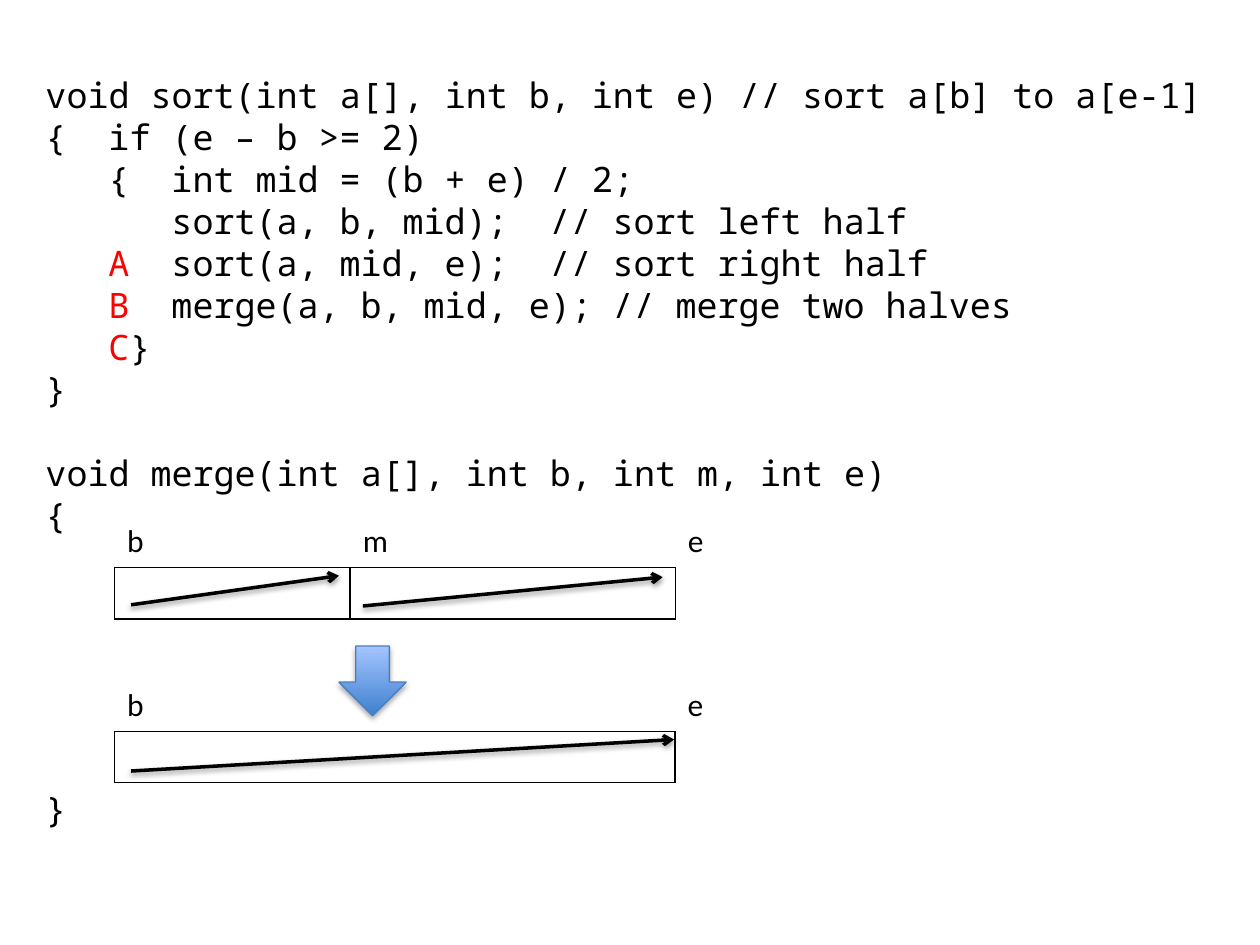
from typing import NamedTuple

from lxml.etree import SubElement
from pptx import Presentation
from pptx.dml.color import RGBColor
from pptx.enum.shapes import MSO_CONNECTOR, MSO_SHAPE
from pptx.enum.text import MSO_ANCHOR, MSO_AUTO_SIZE
from pptx.oxml.ns import qn
from pptx.util import Pt

BLACK = RGBColor(0x00, 0x00, 0x00)
RED = RGBColor(0xFF, 0x00, 0x00)
ARROW_DARK = RGBColor(0x3F, 0x80, 0xCE)
ARROW_LIGHT = RGBColor(0xA4, 0xC4, 0xFF)
ARROW_EDGE = RGBColor(0x4B, 0x7E, 0xBC)

CODE_FONT = {"name": "Noto Sans Mono", "size": Pt(20)}
LABEL_FONT = {"name": "Calibri", "size": Pt(18)}
LINE_HEIGHT = 24
CODE_STOPS = (36, 72, 324)
MARKED_STOPS = (24, 72, 324)
ROW_HEIGHT = 29.2
TABLE_LEFT = 65.5
NO_STYLE = "{2D5ABB26-0587-4C30-8999-92F81FD0307C}"


class CodeLine(NamedTuple):
    text: str
    marker: str = ""
    lines_before: int = 0


class ArrayTable(NamedTuple):
    top: float
    widths: tuple[float, ...]
    labels: tuple[str, ...]
    borders: tuple[str, ...]  # edges drawn on each cell of the lower row


class Trend(NamedTuple):
    x1: float
    y1: float
    x2: float
    y2: float


CODE = [
    CodeLine("void sort(int a[], int b, int e) // sort a[b] to a[e-1]"),
    CodeLine("{\tif (e – b >= 2)"),
    CodeLine("\t{\tint mid = (b + e) / 2;"),
    CodeLine("\t\tsort(a, b, mid);\t// sort left half"),
    CodeLine("\tsort(a, mid, e);\t// sort right half", "A"),
    CodeLine("\tmerge(a, b, mid, e);\t// merge two halves", "B"),
    CodeLine("}", "C"),
    CodeLine("}"),
    CodeLine("void merge(int a[], int b, int m, int e)", lines_before=1),
    CodeLine("{"),
    CodeLine("}", lines_before=6),
]
TABLES = [
    ArrayTable(295.2, (134.6, 185.8, 159.8), ("b", "m", "e"), ("LRTB", "LRTB", "L")),
    ArrayTable(388.8, (133.4, 186.8, 159.8), ("b", "", "e"), ("LTB", "RTB", "L")),
]
TRENDS = [
    Trend(74.9, 345.6, 193.7, 329),
    Trend(74.9, 440.6, 385.2, 422.6),
    Trend(207.4, 346.3, 378.7, 329.8),
]


def set_format(target, values: dict) -> None:
    for name, value in values.items():
        setattr(target, name, value)


def add_run(p, text: str, font: dict, color: RGBColor = BLACK) -> None:
    r = p.add_run()
    r.text = text
    set_format(r.font, font)
    r.font.color.rgb = color


def add_code_line(p, line: CodeLine) -> None:
    set_format(p, {"line_spacing": Pt(LINE_HEIGHT), "space_after": Pt(0),
                   "space_before": Pt(LINE_HEIGHT * line.lines_before)})
    # No bullet, and tab stops on the code columns
    pPr = p._p.get_or_add_pPr()
    pPr.set("marL", "0")
    pPr.set("indent", "0")
    SubElement(pPr, qn("a:buNone"))
    tabs = SubElement(pPr, qn("a:tabLst"))
    for stop in MARKED_STOPS if line.marker else CODE_STOPS:
        SubElement(tabs, qn("a:tab"), pos=str(Pt(stop)), algn="l")
    if line.marker:
        add_run(p, "\t" + line.marker, CODE_FONT, RED)
    add_run(p, line.text, CODE_FONT)


def add_shadow(s, distance: float, opacity: int) -> None:
    effects = SubElement(s._element.spPr, qn("a:effectLst"))
    shadow = SubElement(effects, qn("a:outerShdw"), blurRad=str(Pt(3.1)),
                        dist=str(Pt(distance)), dir="5400000", rotWithShape="0")
    color = SubElement(shadow, qn("a:srgbClr"), val=str(BLACK))
    SubElement(color, qn("a:alpha"), val=str(opacity * 1000))


def add_border(cell, edge: str) -> None:
    ln = SubElement(cell._tc.get_or_add_tcPr(), qn(f"a:ln{edge}"), w=str(Pt(1)))
    fill = SubElement(ln, qn("a:solidFill"))
    SubElement(fill, qn("a:srgbClr"), val=str(BLACK))


def add_array(slide, array: ArrayTable) -> None:
    frame = slide.shapes.add_table(2, len(array.widths), Pt(TABLE_LEFT), Pt(array.top),
                                   Pt(sum(array.widths)), Pt(2 * ROW_HEIGHT))
    table = frame.table
    set_format(table, {"first_row": False, "horz_banding": False})
    table._tbl.tblPr.find(qn("a:tableStyleId")).text = NO_STYLE
    for row in table.rows:
        row.height = Pt(ROW_HEIGHT)
    for i, (width, label, edges) in enumerate(zip(array.widths, array.labels, array.borders)):
        table.columns[i].width = Pt(width)
        top_cell, box = table.cell(0, i), table.cell(1, i)
        if label:
            add_run(top_cell.text_frame.paragraphs[0], label, LABEL_FONT)
        if "B" in edges:
            add_border(top_cell, "B")
        for edge in edges:
            add_border(box, edge)
        for cell in (top_cell, box):
            cell.fill.background()


def add_trend(slide, t: Trend) -> None:
    s = slide.shapes.add_connector(MSO_CONNECTOR.STRAIGHT, Pt(t.x1), Pt(t.y1),
                                   Pt(t.x2), Pt(t.y2))
    s.line.width = Pt(2)
    s.line.color.rgb = BLACK
    SubElement(s.line._get_or_add_ln(), qn("a:tailEnd"), type="arrow")
    add_shadow(s, 1.6, 38)


def add_merge_arrow(slide) -> None:
    s = slide.shapes.add_shape(MSO_SHAPE.DOWN_ARROW, Pt(193.7), Pt(369.2), Pt(38.4), Pt(39.8))
    s.fill.gradient()
    s.fill.gradient_angle = 90
    for stop, color in zip(s.fill.gradient_stops, (ARROW_DARK, ARROW_LIGHT)):
        stop.color.rgb = color
    s.line.color.rgb = ARROW_EDGE
    s.line.width = Pt(0.75)
    add_shadow(s, 1.8, 35)


def main() -> None:
    prs = Presentation()
    set_format(prs, {"slide_width": Pt(720), "slide_height": Pt(540)})
    slide = prs.slides.add_slide(prs.slide_layouts[1])
    title = slide.shapes.title._element
    title.getparent().remove(title)

    # Code listing
    body = slide.placeholders[1]
    set_format(body, {"left": Pt(18.8), "top": Pt(36.8), "width": Pt(694), "height": Pt(468.6)})
    tf = body.text_frame
    set_format(tf, {"word_wrap": True, "auto_size": MSO_AUTO_SIZE.NONE,
                    "vertical_anchor": MSO_ANCHOR.TOP, "margin_top": Pt(5)})
    for i, line in enumerate(CODE):
        add_code_line(tf.add_paragraph() if i else tf.paragraphs[0], line)

    # Array before and after merging
    for array in TABLES:
        add_array(slide, array)
    for trend in TRENDS:
        add_trend(slide, trend)
    add_merge_arrow(slide)

    prs.save("out.pptx")


if __name__ == "__main__":
    main()
